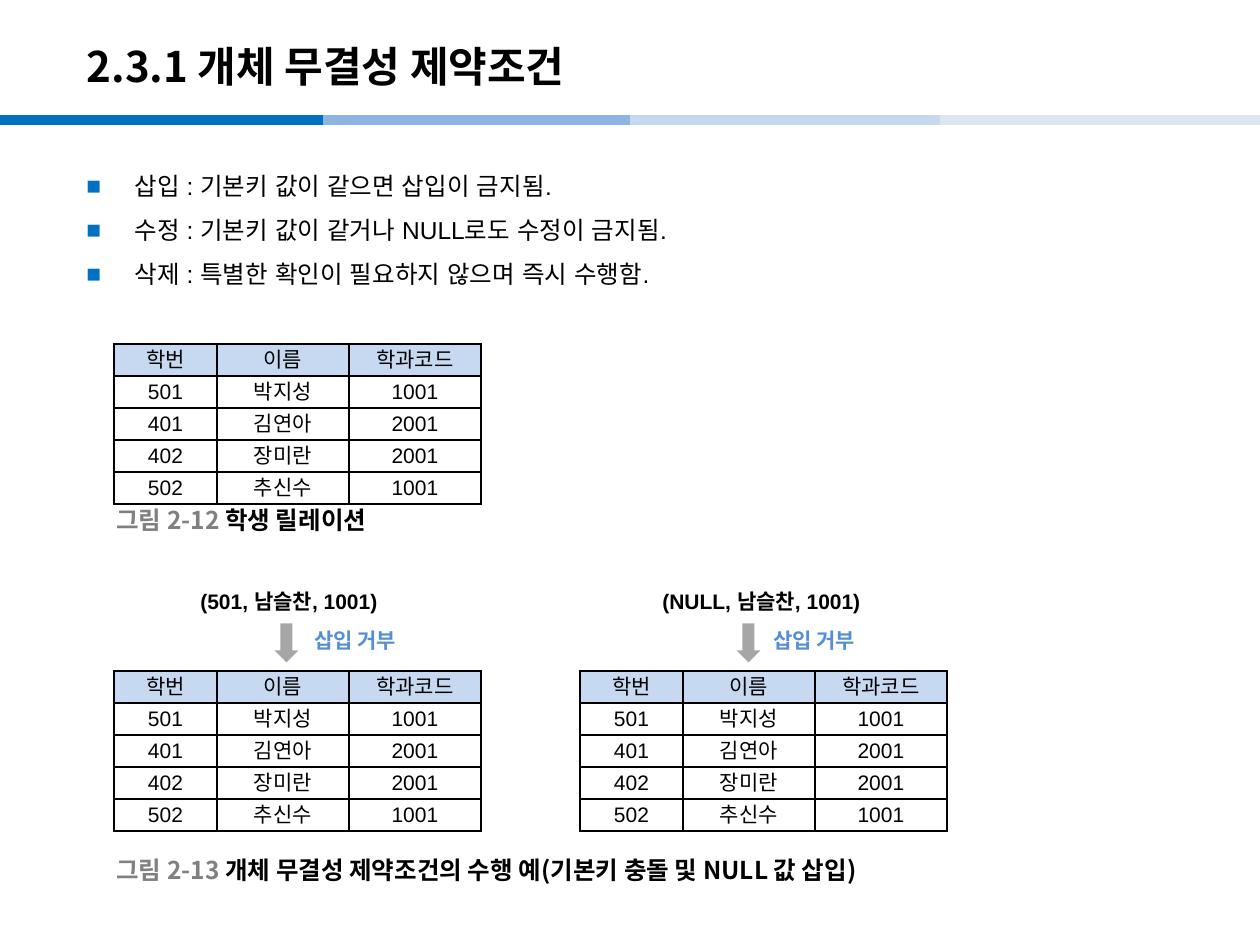
from dataclasses import dataclass
from itertools import pairwise

from lxml.etree import SubElement
from pptx import Presentation
from pptx.dml.color import RGBColor
from pptx.enum.shapes import MSO_CONNECTOR as Connector, MSO_SHAPE as Shape
from pptx.enum.text import MSO_ANCHOR as Anchor, PP_ALIGN as Align
from pptx.oxml.ns import qn
from pptx.util import Pt


@dataclass(frozen=True)
class Theme:
    heading_face: str = "Noto Sans CJK KR"
    body_face: str = "Arial"
    title_size: int = 24
    body_size: int = 14
    small_size: int = 12
    ink: str = "000000"
    muted: str = "808080"
    accent: str = "0070C0"
    reject: str = "558ED5"
    arrow: str = "A6A6A6"
    header: str = "C6D9F1"
    paper: str = "FFFFFF"
    bands: tuple = ("0070C0", "8EB4E3", "C6D9F1", "DCE6F2")


THEME = Theme()
PX = 914400 // 126

TITLE = "2.3.1 개체 무결성 제약조건"
RULES = [
    "삽입 : 기본키 값이 같으면 삽입이 금지됨.",
    "수정 : 기본키 값이 같거나 NULL로도 수정이 금지됨.",
    "삭제 : 특별한 확인이 필요하지 않으며 즉시 수행함.",
]
STUDENTS = [
    ("학번", "이름", "학과코드"),
    ("501", "박지성", "1001"),
    ("401", "김연아", "2001"),
    ("402", "장미란", "2001"),
    ("502", "추신수", "1001"),
]
CAPTIONS = [
    ("그림 2-12 ", "학생 릴레이션", 500, 340),
    ("그림 2-13 ", "개체 무결성 제약조건의 수행 예(기본키 충돌 및 NULL 값 삽입)", 850, 880),
]
INSERTS = [
    ("(501, 남슬찬, 1001)", 188, 217, 302),
    ("(NULL, 남슬찬, 1001)", 650, 234, 761),
]
REJECTED = "삽입 거부"
BAND_EDGES = [0, 323, 630, 940, 1260]
TABLES = [(114, 344), (114, 671), (580, 671)]
COLUMNS = [103, 132, 132]
ROW = 32
INDENT = 48


def px(*lengths):
    return [length * PX for length in lengths]


def rgb(value):
    return RGBColor.from_string(value)


def add_run(paragraph, words, size, face, color=THEME.ink, bold=False):
    run = paragraph.add_run()
    run.text = words
    font = run.font
    font.size, font.name, font.bold = Pt(size), face, bold
    font.color.rgb = rgb(color)
    SubElement(font._element, qn("a:ea"), typeface=face)


def add_label(box, anchor=Anchor.TOP):
    frame = slide.shapes.add_textbox(*px(*box)).text_frame
    frame.word_wrap = True
    frame.vertical_anchor = anchor
    return frame


def add_band(start, end, color):
    band = slide.shapes.add_connector(Connector.STRAIGHT, *px(start, 120, end, 120))
    band.line.color.rgb = rgb(color)
    band.line.width = Pt(6)
    SubElement(band._element.spPr, qn("a:effectLst"))


def add_bullet(paragraph):
    paragraph.line_spacing = 1.5
    properties = paragraph._p.get_or_add_pPr()
    properties.set("marL", str(INDENT * PX))
    properties.set("indent", str(-INDENT * PX))
    SubElement(SubElement(properties, qn("a:buClr")), qn("a:srgbClr"), val=THEME.accent)
    SubElement(properties, qn("a:buFont"), typeface=THEME.body_face)
    SubElement(properties, qn("a:buChar"), char="■")


def add_borders(cell):
    properties = cell._tc.get_or_add_tcPr()
    for side in "LRTB":
        border = SubElement(properties, qn("a:ln" + side), w=str(Pt(1)))
        SubElement(SubElement(border, qn("a:solidFill")), qn("a:srgbClr"), val=THEME.ink)


def add_students(left, top):
    table = slide.shapes.add_table(
        len(STUDENTS), len(COLUMNS), *px(left, top, sum(COLUMNS), ROW * len(STUDENTS))
    ).table
    table.first_row = table.horz_banding = False
    for column, width in zip(table.columns, COLUMNS):
        column.width = width * PX
    for r, student in enumerate(STUDENTS):
        table.rows[r].height = ROW * PX
        for c, value in enumerate(student):
            cell = table.cell(r, c)
            cell.margin_left = cell.margin_right = cell.margin_top = PX
            cell.margin_bottom = 0
            cell.vertical_anchor = Anchor.MIDDLE
            add_borders(cell)
            cell.fill.solid()
            cell.fill.fore_color.rgb = rgb(THEME.paper if r else THEME.header)
            paragraph = cell.text_frame.paragraphs[0]
            paragraph.alignment = Align.CENTER
            add_run(paragraph, value, THEME.small_size, THEME.body_face)


def add_insert(record, left, width, reject_left):
    arrow_left = left + 79
    arrow = slide.shapes.add_shape(Shape.RIGHT_ARROW, *px(arrow_left, 631, 39, 24))
    arrow.rotation = 90
    arrow.shadow.inherit = False
    arrow.fill.solid()
    arrow.fill.fore_color.rgb = rgb(THEME.arrow)
    arrow.line.fill.background()
    request = add_label((left, 582, width, 38)).paragraphs[0]
    add_run(request, record, THEME.small_size, THEME.body_face, bold=True)
    answer = add_label((reject_left, 621, 174, 38)).paragraphs[0]
    add_run(answer, REJECTED, THEME.small_size, THEME.heading_face, THEME.reject, True)


deck = Presentation()
deck.slide_width, deck.slide_height = px(1260, 945)
slide = deck.slides.add_slide(deck.slide_layouts[5])

for (start, end), color in zip(pairwise(BAND_EDGES), THEME.bands):
    add_band(start, end, color)

title = slide.shapes.title
title.left, title.top, title.width, title.height = px(74, 28, 1042, 76)
title.text_frame.vertical_anchor = Anchor.MIDDLE
heading = title.text_frame.paragraphs[0]
heading.alignment = Align.LEFT
add_run(heading, TITLE, THEME.title_size, THEME.heading_face, bold=True)

rules = add_label((74, 150, 1111, 753))
for i, rule in enumerate(RULES):
    paragraph = rules.add_paragraph() if i else rules.paragraphs[0]
    add_bullet(paragraph)
    add_run(paragraph, rule, THEME.body_size, THEME.body_face)

for left, top in TABLES:
    add_students(left, top)

for insert in INSERTS:
    add_insert(*insert)

for number, caption, top, width in CAPTIONS:
    paragraph = add_label((104, top, width, 39), Anchor.MIDDLE).paragraphs[0]
    add_run(paragraph, number, THEME.body_size, THEME.heading_face, THEME.muted, True)
    add_run(paragraph, caption, THEME.body_size, THEME.heading_face, bold=True)

deck.save("out.pptx")
